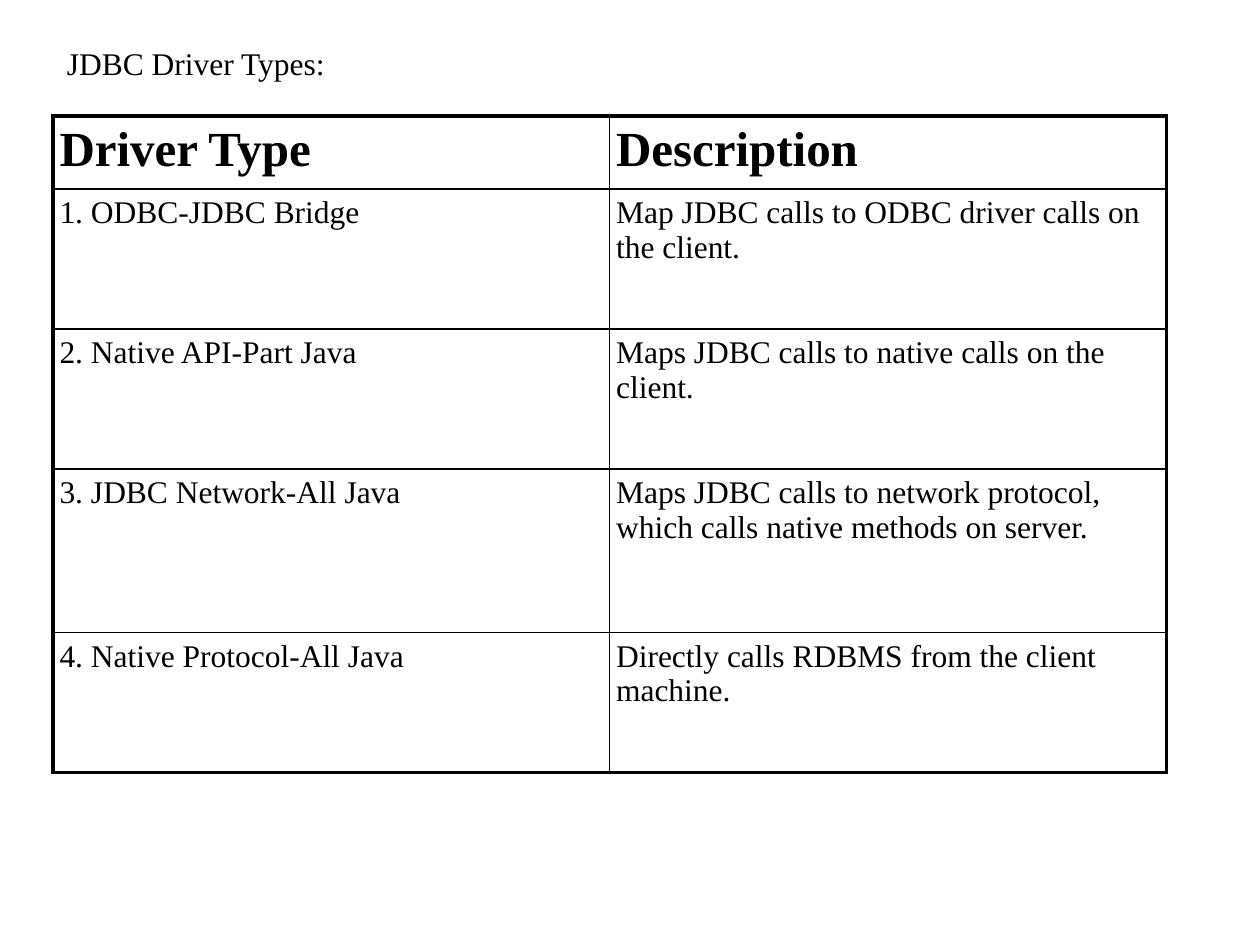
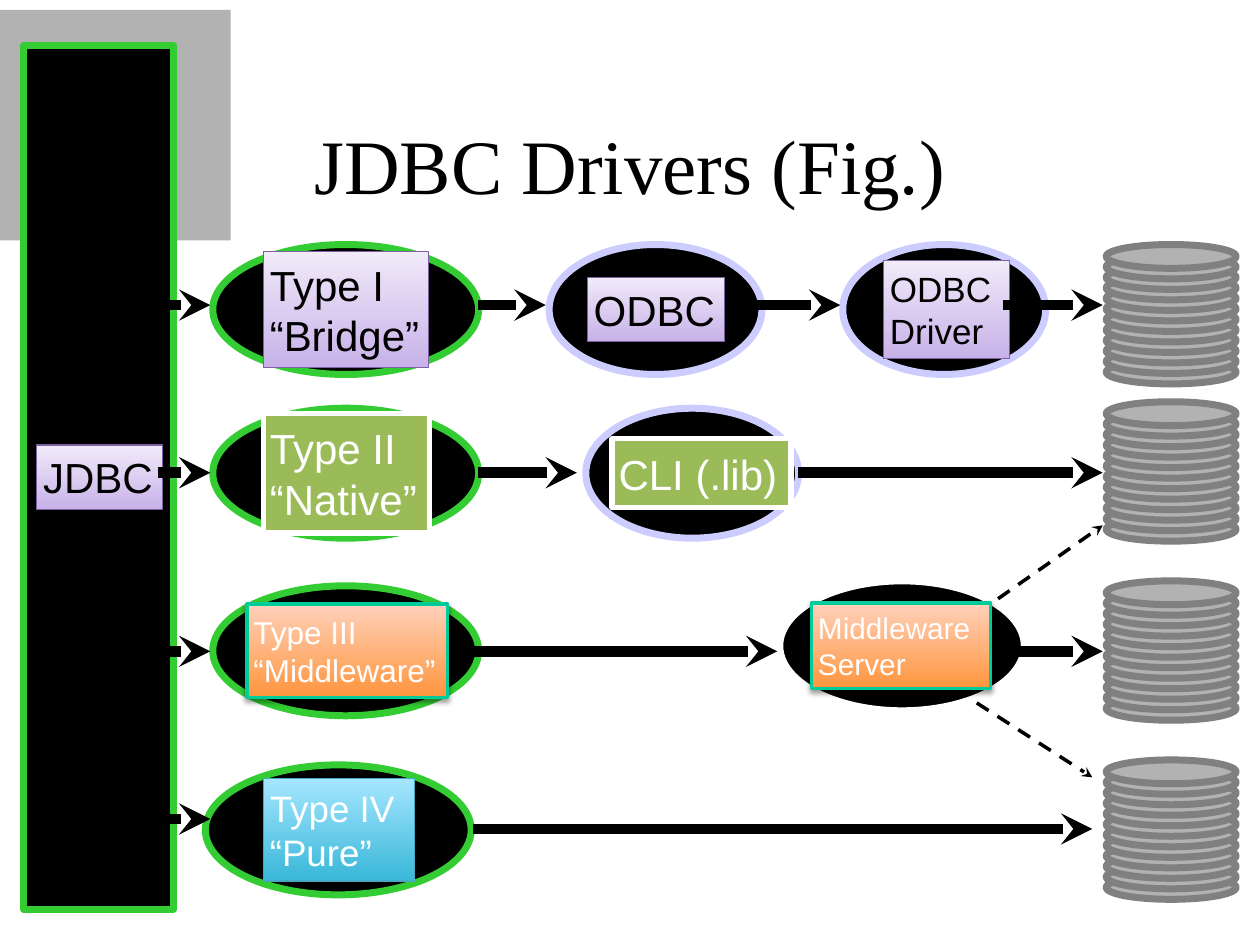
from lxml.etree import SubElement
from pptx import Presentation
from pptx.dml.color import RGBColor
from pptx.enum.dml import MSO_LINE
from pptx.enum.shapes import MSO_CONNECTOR, MSO_SHAPE
from pptx.enum.text import MSO_ANCHOR, MSO_AUTO_SIZE, PP_ALIGN
from pptx.oxml.ns import qn
from pptx.util import Cm, Pt

SERIF, SANS = "Times New Roman", "Arial"
BLACK, WHITE, GRAY, STEEL = "000000", "FFFFFF", "B2B2B2", "808080"
GREEN, LILAC = "33CC33", "CCCCFF"
PAD = 0.13
THICK, THIN = 2.25, 1

PURPLE = {"fill": ("C8B2E9", "F0EAF9"), "edge": "7D60A0", "width": 0.75, "ink": BLACK}
OLIVE = {"fill": "9BBB59", "edge": WHITE, "width": 3, "ink": WHITE}
ORANGE = {"fill": ("FF953E", "FFD1BB"), "edge": "00CC99", "width": 2, "ink": WHITE,
          "shade": True}
CYAN = {"fill": ("39B7D8", "A5E6FF"), "edge": "46AAC4", "width": 0.75, "ink": WHITE}

HEADS = ("Driver Type", "Description")
TYPES = [
    ("1. ODBC-JDBC Bridge", "Map JDBC calls to ODBC driver calls on the client."),
    ("2. Native API-Part Java", "Maps JDBC calls to native calls on the client."),
    ("3. JDBC Network-All Java",
     "Maps JDBC calls to network protocol, which calls native methods on server."),
    ("4. Native Protocol-All Java", "Directly calls RDBMS from the client machine."),
]
ROWS = (1.47, 2.82, 2.82, 3.3, 2.82)

OVAL_H = 2.62
NODES = [
    ((4.29, 4.93, 5.36), GREEN, (1.02, 3.33, 2.34), "Type I\n“Bridge”", 24, PURPLE),
    ((4.29, 8.23, 5.36), GREEN, (1.02, 3.35, 2.41), "Type II\n“Native”", 24, OLIVE),
    ((4.29, 11.81, 5.36), GREEN, (0.69, 4.04, 1.88), "Type III\n“Middleware”", 18, ORANGE),
    ((4.14, 15.42, 5.36), GREEN, (1.17, 3.05, 2.06), "Type IV\n“Pure”", 21, CYAN),
    ((11.07, 4.93, 4.29), LILAC, (0.77, 2.77, 1.3), "ODBC", 24, PURPLE),
    ((16.99, 4.93, 4.09), LILAC, (0.82, 2.54, 1.98), "ODBC\nDriver", 20, PURPLE),
    ((11.81, 8.23, 4.29), LILAC, (0.53, 3.61, 1.4), "CLI (.lib)", 24, OLIVE),
    ((15.72, 11.71, 4.93), WHITE, (0.64, 3.61, 1.73), "Middleware\nServer", 17, ORANGE),
]
STACKS = (4.93, 8.1, 11.71, 15.32)
FLOWS = {
    6.15: [(2.24, 4.24), (9.63, 11), (14.94, 16.94), (20.22, 22.23)],
    9.53: [(3.18, 4.24), (9.63, 11.63), (16.08, 22.23)],
    13.13: [(2.24, 4.24), (9.53, 15.67), (20.52, 22.23)],
    16.51: [(2.24, 4.24)],
    16.71: [(9.53, 22.02)],
}
DASHES = [((20.12, 12.07), (22.23, 10.59)), ((19.69, 14.17), (22.02, 15.67))]


def tint(code):
    """Turn a hex string into a colour."""
    return RGBColor.from_string(code)


def write(frame, text, size=18, ink=BLACK, font=SERIF, bold=False,
          align=PP_ALIGN.LEFT, before=0, wrap=True, anchor=MSO_ANCHOR.TOP):
    """Fill a text frame, one paragraph for each line."""
    frame.word_wrap = wrap
    frame.vertical_anchor = anchor
    frame.margin_left = frame.margin_right = Cm(PAD)
    frame.margin_top = frame.margin_bottom = Cm(PAD)
    for i, line in enumerate(text.split("\n")):
        para = frame.add_paragraph() if i else frame.paragraphs[0]
        para.alignment = align
        para.space_before = Pt(before)
        run = para.add_run()
        run.text = line
        run.font.size, run.font.bold, run.font.name = Pt(size), bold, font
        run.font.color.rgb = tint(ink)


def draw(shapes, kind, box, fill, edge=None, width=4):
    """Add a preset shape with a plain or two-colour fill."""
    shape = shapes.add_shape(kind, *map(Cm, box))
    shape.shadow.inherit = False
    if isinstance(fill, tuple):
        shape.fill.gradient()
        shape.fill.gradient_angle = 90
        for stop, code in zip(shape.fill.gradient_stops, fill):
            stop.color.rgb = tint(code)
    else:
        shape.fill.solid()
        shape.fill.fore_color.rgb = tint(fill)
    if edge:
        shape.line.color.rgb = tint(edge)
        shape.line.width = Pt(width)
    else:
        shape.line.fill.background()
    return shape


def shade(shape):
    """Cast a soft shadow straight down."""
    effect = shape._element.spPr.find(qn("a:effectLst"))
    outer = SubElement(effect, qn("a:outerShdw"), blurRad=str(Pt(3)),
                       dist=str(Pt(1.6)), dir="5400000", rotWithShape="0")
    color = SubElement(outer, qn("a:srgbClr"), val=BLACK)
    SubElement(color, qn("a:alpha"), val="38000")


def label(shapes, box, text, size, look):
    """Add a caption box in one of the looks."""
    shape = draw(shapes, MSO_SHAPE.RECTANGLE, box, look["fill"], look["edge"], look["width"])
    if look.get("shade"):
        shade(shape)
    write(shape.text_frame, text, size=size, ink=look["ink"], font=SANS,
          wrap=False, anchor=MSO_ANCHOR.MIDDLE)
    shape.text_frame.auto_size = MSO_AUTO_SIZE.SHAPE_TO_FIT_TEXT


def node(slide, box, edge, inner, text, size, look):
    """Group an oval with a caption centred on its height."""
    left, top, wide = box
    shift, width, high = inner
    shapes = slide.shapes.add_group_shape().shapes
    draw(shapes, MSO_SHAPE.OVAL, (left, top, wide, OVAL_H), BLACK, edge)
    label(shapes, (left + shift, top + (OVAL_H - high) / 2, width, high), text, size, look)


def stack(slide, left, top, count=12, rise=2.33):
    """Pile discs up into a database."""
    shapes = slide.shapes.add_group_shape().shapes
    for i in reversed(range(count)):
        box = (left, top + i * rise / (count - 1), 2.62, 0.48)
        draw(shapes, MSO_SHAPE.OVAL, box, GRAY, STEEL)


def column(slide, left, top):
    """Draw the tall bar and its caption."""
    shapes = slide.shapes.add_group_shape().shapes
    draw(shapes, MSO_SHAPE.RECTANGLE, (left, top, 3.02, 17.42), BLACK, GREEN)
    label(shapes, (left + 0.26, top + 8.06, 2.54, 1.3), "JDBC", 24, PURPLE)


def arrow(slide, start, end, width=6, dash=None):
    """Draw a line with a stealth head at its end."""
    line = slide.shapes.add_connector(MSO_CONNECTOR.STRAIGHT, *map(Cm, start + end))
    line.line.color.rgb = tint(BLACK)
    line.line.width = Pt(width)
    if dash:
        line.line.dash_style = dash
    props = line._element.spPr
    SubElement(props.find(qn("a:ln")), qn("a:tailEnd"), type="stealth")
    SubElement(props, qn("a:effectLst"))


def frame_cell(cell, widths):
    """Set the left, right, top and bottom borders of a cell."""
    props = cell._tc.get_or_add_tcPr()
    for side, width in zip("LRTB", widths):
        line = SubElement(props, qn("a:ln" + side), w=str(Pt(width)))
        SubElement(SubElement(line, qn("a:solidFill")), qn("a:srgbClr"), val=BLACK)
    cell.fill.background()


def grid(slide, left, top, width):
    """Place the table of driver types."""
    data = [HEADS] + TYPES
    rows, cols = len(data), len(HEADS)
    table = slide.shapes.add_table(rows, cols, Cm(left), Cm(top), Cm(width),
                                   Cm(sum(ROWS))).table
    table.first_row = table.horz_banding = False
    for col in table.columns:
        col.width = Cm(width / cols)
    for r, line in enumerate(data):
        table.rows[r].height = Cm(ROWS[r])
        for c, text in enumerate(line):
            cell = table.cell(r, c)
            outer = (c == 0, c == cols - 1, r == 0, r == rows - 1)
            frame_cell(cell, [THICK if rim else THIN for rim in outer])
            head = r == 0
            write(cell.text_frame, text, size=28 if head else 18, bold=head,
                  before=6 if head else 4)
            cell.margin_left = cell.margin_right = Cm(PAD)
            cell.margin_top = cell.margin_bottom = Cm(PAD)


def list_slide(deck):
    """Build the slide that lists the driver types."""
    slide = deck.slides.add_slide(deck.slide_layouts[6])
    box = slide.shapes.add_textbox(*map(Cm, (1.22, 0.76, 5.64, 2.44)))
    write(box.text_frame, "JDBC Driver Types:")
    grid(slide, 1.07, 2.34, 22.44)


def chart_slide(deck):
    """Build the slide that shows how each type reaches its data."""
    slide = deck.slides.add_slide(deck.slide_layouts[5])
    title = slide.shapes.title
    title.left, title.top, title.width, title.height = map(Cm, (1.9, 1.7, 21.6, 3.18))
    write(title.text_frame, "JDBC Drivers (Fig.)", size=44,
          align=PP_ALIGN.CENTER, anchor=MSO_ANCHOR.MIDDLE)
    draw(slide.shapes, MSO_SHAPE.RECTANGLE, (0, 0.2, 4.65, 4.65), GRAY)
    column(slide, 0.48, 0.91)
    for item in NODES:
        node(slide, *item)
    for top in STACKS:
        stack(slide, 22.3, top)
    for y, spans in FLOWS.items():
        for start, end in spans:
            arrow(slide, (start, y), (end, y))
    for start, end in DASHES:
        arrow(slide, start, end, width=2, dash=MSO_LINE.DASH)


def main():
    """Build and save the deck."""
    deck = Presentation()
    deck.slide_width, deck.slide_height = Cm(25.4), Cm(19.05)
    list_slide(deck)
    chart_slide(deck)
    deck.save("out.pptx")


if __name__ == "__main__":
    main()
